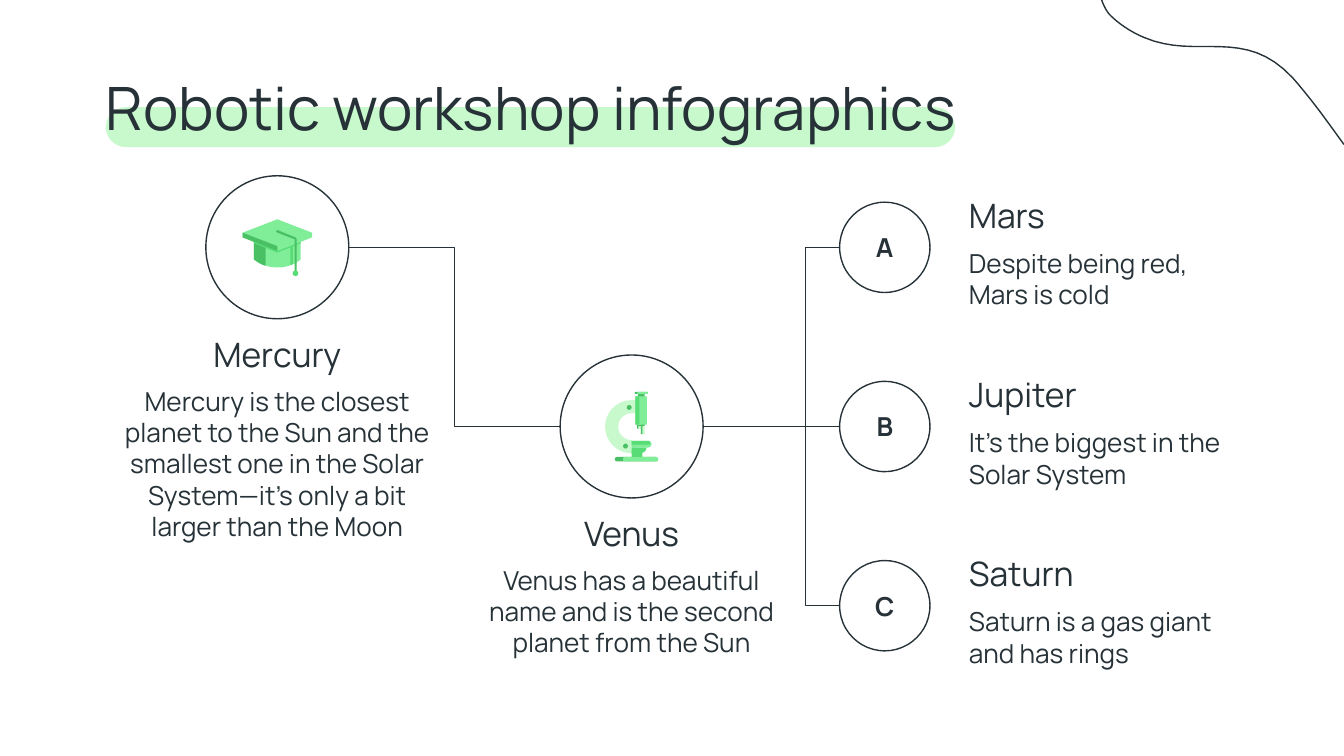
from math import cos, radians, sin

from lxml.etree import SubElement
from pptx import Presentation
from pptx.dml.color import RGBColor
from pptx.enum.shapes import MSO_CONNECTOR as Link, MSO_SHAPE as Shape
from pptx.enum.text import MSO_ANCHOR as Anchor, PP_ALIGN as Align
from pptx.oxml.ns import qn
from pptx.util import Pt

INK, WHITE = "263238", "FFFFFF"
PALE, LIGHT, MEDIUM, DARK = "C7F9CC", "80ED99", "58DD76", "48C063"
PLANET_SIZE, LETTER_SIZE = 76.6, 48.4
MERCURY, VENUS = (148.6, 132.5), (338.4, 228.5)
LETTER_X, ROW_TOP, ROW_STEP = 474, 132.5, 96
ROWS = [
    ("A", "Mars", "Despite being red, Mars is cold"),
    ("B", "Jupiter", "It’s the biggest in the Solar System"),
    ("C", "Saturn", "Saturn is a gas giant and has rings"),
]


def color(value):
    """Turn a hex string into a colour."""
    return RGBColor.from_string(value)


def paint(shape, fill=None, line=None):
    """Set the fill and outline of a shape, without a shadow."""
    shape.shadow.inherit = False
    if fill:
        shape.fill.solid()
        shape.fill.fore_color.rgb = color(fill)
    else:
        shape.fill.background()
    if line:
        shape.line.color.rgb = color(line)
        shape.line.width = Pt(0.75)
    else:
        shape.line.fill.background()
    return shape


def write(frame, text, size=14, align=Align.LEFT, anchor=Anchor.TOP, bold=False, side=7.2):
    """Fill a text frame with one formatted paragraph."""
    frame.word_wrap = True
    frame.vertical_anchor = anchor
    frame.margin_left = frame.margin_right = Pt(side)
    frame.margin_top = frame.margin_bottom = Pt(7.2)
    para = frame.paragraphs[0]
    para.alignment = align
    span = para.add_run()
    span.text = text
    span.font.name = "Manrope"
    span.font.size = Pt(size)
    span.font.bold = bold
    span.font.color.rgb = color(INK)


def add_text(page, x, y, width, height, text, **style):
    """Add a text box."""
    box = page.shapes.add_textbox(Pt(x), Pt(y), Pt(width), Pt(height))
    write(box.text_frame, text, **style)


def add_preset(page, kind, x, y, width, height, fill, line=None):
    """Add a painted preset shape."""
    return paint(page.shapes.add_shape(kind, Pt(x), Pt(y), Pt(width), Pt(height)), fill, line)


def add_circle(page, center, size):
    """Add an outlined circle around a centre point."""
    x, y = center
    return add_preset(page, Shape.OVAL, x - size / 2, y - size / 2, size, size, WHITE, INK)


def bezier(start, curve, steps=16):
    """Sample a cubic curve given by two controls and an end."""
    knots = [start, curve[:2], curve[2:4], curve[4:]]
    points = []
    for step in range(1, steps + 1):
        t = step / steps
        weights = ((1 - t) ** 3, 3 * t * (1 - t) ** 2, 3 * t * t * (1 - t), t ** 3)
        points.append(tuple(sum(w * k[axis] for w, k in zip(weights, knots)) for axis in (0, 1)))
    return points


def add_outline(page, pieces, fill=None, line=None):
    """Add a freeform from points and six-number curves, closed when filled."""
    points = [pieces[0]]
    for piece in pieces[1:]:
        points += [piece] if len(piece) == 2 else bezier(points[-1], piece)
    points = [(Pt(x), Pt(y)) for x, y in points]
    builder = page.shapes.build_freeform(*points[0], scale=1.0)
    builder.add_line_segments(points[1:], close=bool(fill))
    return paint(builder.convert_to_shape(), fill, line)


def add_link(page, start, end, bend=None):
    """Join two points, bending at a share of the way when given."""
    kind = Link.STRAIGHT if bend is None else Link.ELBOW
    link = page.shapes.add_connector(kind, *(Pt(value) for value in start + end))
    link.line.color.rgb = color(INK)
    link.line.width = Pt(0.75)
    properties = link._element.spPr
    SubElement(properties, qn("a:effectLst"))
    if bend is not None:
        guides = properties.find(qn("a:prstGeom")).get_or_add_avLst()
        SubElement(guides, qn("a:gd"), name="adj1", fmla=f"val {round(bend * 100000)}")


def add_planet(page, center, name, detail, height):
    """Add a large circle with a centred heading and description."""
    x, y = center
    add_circle(page, center, PLANET_SIZE)
    add_text(page, x - 92.5, y + 45.5, 185, 29.5, name, size=18, align=Align.CENTER, anchor=Anchor.BOTTOM)
    add_text(page, x - 92.5, y + 66.5, 185, height, detail, align=Align.CENTER)


def add_row(page, y, letter, name, detail):
    """Add a lettered circle with its heading and description."""
    circle = add_circle(page, (LETTER_X, y), LETTER_SIZE)
    write(circle.text_frame, letter, align=Align.CENTER, anchor=Anchor.MIDDLE, bold=True)
    add_text(page, 512, y - 28.8, 152, 29.5, name, size=18, anchor=Anchor.BOTTOM)
    add_text(page, 512, y - 7.2, 152, 42.5, detail)


def arc(center, radius, angles):
    """List the points of a circular arc."""
    x, y = center
    return [(x + radius * cos(radians(a)), y + radius * sin(radians(a))) for a in angles]


def add_microscope(page):
    """Draw the microscope icon."""
    center = (338.4, 228.6)
    arm = arc(center, 14.2, range(270, 89, -6)) + [(340.6, 239.8)]
    arm += arc(center, 7.2, range(90, 271, 6)) + [(340.6, 221.4), (342.7, 218.2), (340.6, 214.4)]
    stage = [(338.4, 236.2), (347, 236.2), (348.5, 236.2, 349.2, 237.6, 349, 238),
             (349, 238.9, 348, 239.8, 347, 239.8), (338.4, 239.8)]
    stage_top = [(338.4, 236.2), (347, 236.2), (349, 236.2, 349, 238.2, 347, 238.2), (338.4, 238.2)]
    support = [(338.4, 239.8), (346.3, 239.8), (346.3, 241.5, 345, 242.6, 343.4, 242.6), (338.4, 242.6)]
    box, pill, dot = Shape.RECTANGLE, Shape.ROUNDED_RECTANGLE, Shape.OVAL
    parts = [
        (box, 341.3, 226.8, 3, 2.9, PALE), (box, 343.4, 226.8, 2, 5.8, PALE),
        (box, 343.4, 226.8, 2, 1.4, DARK), (box, 343.4, 226.8, 0.8, 5.8, DARK),
        (box, 341.3, 227.5, 2.1, 0.7, DARK), (box, 341.3, 227.5, 0.7, 2.2, DARK),
        (box, 341.7, 210.2, 3.7, 3.6, DARK),
        (arm, PALE),
        (box, 338.4, 241.9, 5.8, 4.3, MEDIUM),
        (box, 340.4, 212.4, 6.2, 15.1, LIGHT), (box, 340.4, 212.4, 2.2, 15.1, MEDIUM),
        (stage, LIGHT), (stage_top, MEDIUM), (support, MEDIUM),
        (pill, 340, 209.9, 7.1, 1.2, DARK), (pill, 341.4, 209.9, 5.7, 1.2, LIGHT),
        (pill, 329.4, 244.8, 23.2, 2.4, DARK), (pill, 333.7, 244.8, 18.9, 2.4, LIGHT),
        (dot, 335.8, 217, 2.6, 2.6, DARK), (dot, 333.8, 237.7, 2.6, 2.6, DARK),
    ]
    for part in parts:
        if len(part) == 2:
            add_outline(page, *part)
            continue
        shape = add_preset(page, *part)
        if part[0] == pill:
            shape.adjustments[0] = 0.5


def add_cap(page):
    """Draw the graduation cap icon."""
    parts = [
        ([(136.1, 129.6), (136.1, 139), (139.7, 141.8, 144, 143.3, 148.6, 143.3),
          (153, 143.3, 157.7, 142, 161.1, 139), (161.1, 129.6)], LIGHT),
        ([(136.1, 129.6), (136.1, 139), (138, 140.5, 140, 141.8, 142.4, 142.4), (142.4, 129.6)], DARK),
        ([(155.6, 131), (155.6, 142), (156.9, 141.6), (156.9, 131)], MEDIUM),
        ([(136.1, 129.6), (136.1, 130.3), (148.6, 135.3), (161.1, 130.3), (161.1, 129.6)], MEDIUM),
        ([(148.6, 117.5), (130, 124.7), (130, 127.2), (148.6, 134.5), (167.2, 127.2), (167.2, 124.7)], LIGHT),
        ([(130, 124.7), (130, 127.2), (148.6, 134.5), (148.6, 131.9)], DARK),
        ([(148.8, 123.3), (147.8, 123.5, 147.8, 124.3, 148.3, 124.5), (157.8, 128.2), (157.8, 144.7),
          (157.8, 145.6, 158.9, 145.6, 158.9, 144.7), (158.9, 128.2), (158.9, 127.6, 158.6, 127.4, 158.3, 127.2)], DARK),
    ]
    for pieces, fill in parts:
        add_outline(page, pieces, fill)
    add_preset(page, Shape.OVAL, 156.8, 144.9, 3, 3, MEDIUM)


def main():
    """Build the slide and save it."""
    deck = Presentation()
    deck.slide_width, deck.slide_height = Pt(720), Pt(405)
    page = deck.slides.add_slide(deck.slide_layouts[6])
    bar = add_preset(page, Shape.ROUNDED_RECTANGLE, 56.7, 57.4, 455, 21.4, PALE)
    bar.adjustments[0] = 0.5
    corner = [(590.2, 0), (591.2, 2.9, 592.6, 5.8, 594.7, 8.1), (599, 12.3, 604.8, 16.6, 612.7, 20),
              (641.5, 32.4, 666.7, 13.7, 692.6, 41.8), (695, 44.5, 697.5, 47.5, 699.8, 50.4),
              (707, 59.2, 713.4, 68.4, 720, 77.4)]
    add_outline(page, corner, line=INK)
    add_text(page, 56.7, 30.5, 606.6, 48, "Robotic workshop infographics", size=32, side=0)
    radius = PLANET_SIZE / 2
    add_link(page, (MERCURY[0] + radius, MERCURY[1]), (VENUS[0] - radius, VENUS[1]), 0.5)
    add_planet(page, MERCURY, "Mercury", "Mercury is the closest planet to the Sun and the smallest "
               "one in the Solar System—it’s only a bit larger than the Moon", 96)
    add_planet(page, VENUS, "Venus", "Venus has a beautiful name and is the second planet from the Sun", 67)
    for index, row in enumerate(ROWS):
        y = ROW_TOP + index * ROW_STEP
        add_row(page, y, *row)
        add_link(page, (VENUS[0] + radius, VENUS[1]), (LETTER_X - LETTER_SIZE / 2, y),
                 None if y == VENUS[1] else 0.75)
    add_microscope(page)
    add_cap(page)


    deck.save("out.pptx")


if __name__ == "__main__":
    main()
